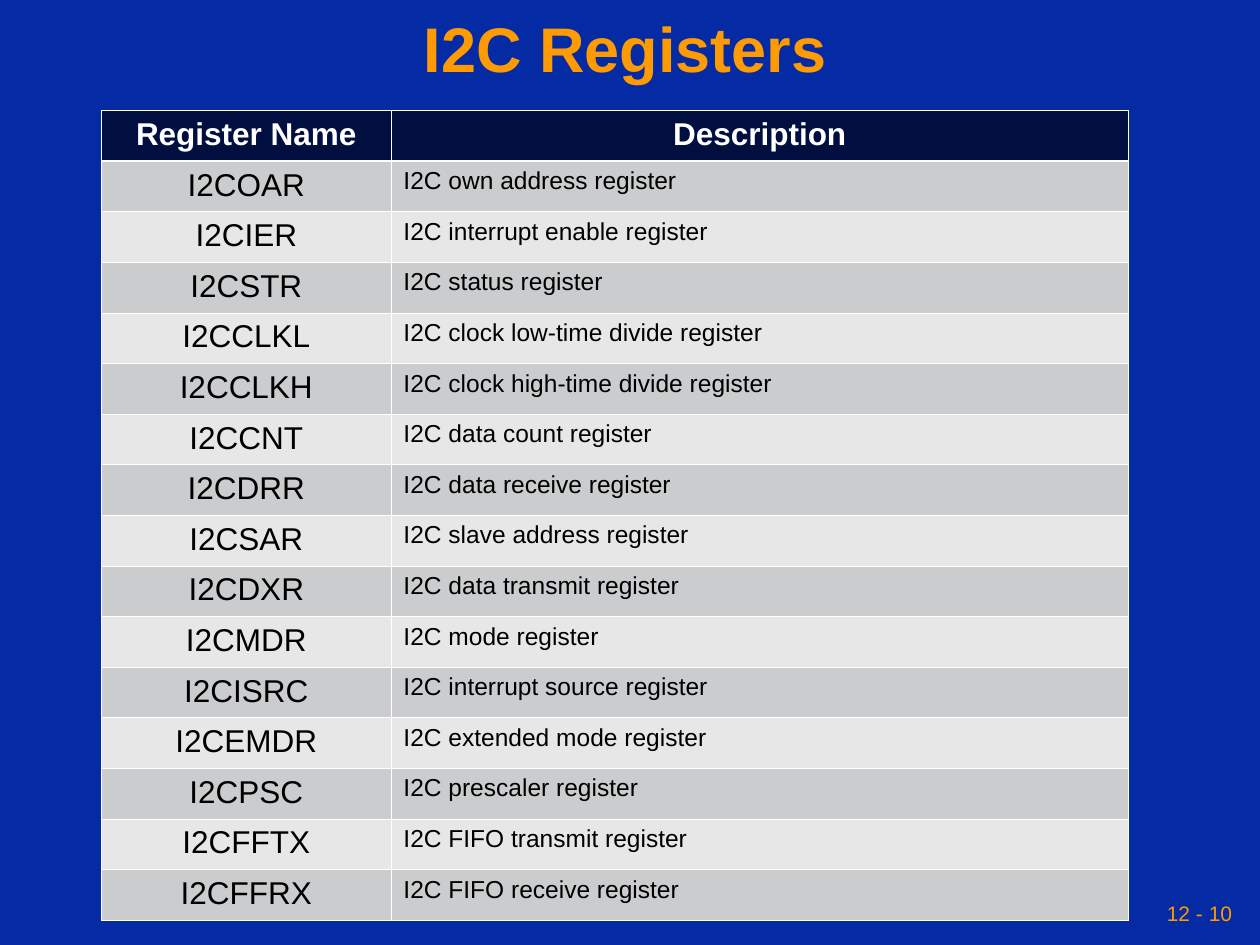
from dataclasses import dataclass

from lxml import etree
from pptx import Presentation
from pptx.dml.color import RGBColor
from pptx.enum import text
from pptx.oxml import ns
from pptx.util import Cm, Pt


@dataclass(frozen=True)
class Theme:
    font: str = "Arial"
    background: str = "042AA4"
    accent: str = "FE9B03"
    header: str = "000F40"
    bands: tuple = ("CBCCCE", "E7E7E8")
    light: str = "FFFFFF"
    dark: str = "000000"
    title_size: int = 36
    name_size: int = 18
    description_size: int = 14
    page_size: int = 12
    rule: float = 0.45
    header_rule: float = 1.47


theme = Theme()
CENTER, LEFT, RIGHT = text.PP_ALIGN.CENTER, text.PP_ALIGN.LEFT, text.PP_ALIGN.RIGHT


def write(tf, content, size, color, align=LEFT, bold=False, line_spacing=None):
    p = tf.paragraphs[0]
    p.alignment = align
    p.line_spacing = line_spacing
    r = p.add_run()
    r.text = content
    r.font.name = theme.font
    r.font.size = Pt(size)
    r.font.bold = bold
    r.font.color.rgb = RGBColor.from_string(color)


def add_border(cell, side, width):
    """Add one cell edge; call for L, R, T, B in that order, before the fill."""
    tc_pr = cell._tc.get_or_add_tcPr()
    ln = etree.SubElement(tc_pr, ns.qn(f"a:ln{side}"), w=str(Pt(width)))
    fill = etree.SubElement(ln, ns.qn("a:solidFill"))
    etree.SubElement(fill, ns.qn("a:srgbClr"), val=theme.light)


prs = Presentation()
prs.slide_width, prs.slide_height = Cm(25.4), Cm(19.05)
s = prs.slides.add_slide(prs.slide_layouts[6])
s.background.fill.solid()
s.background.fill.fore_color.rgb = RGBColor.from_string(theme.background)

# Page number and title
labels = [
    ((17.35, 17.98, 7.62, 0.85), "12 - 10",
     dict(size=theme.page_size, color=theme.accent, align=RIGHT)),
    ((0, 0, 25.2, 2.1), "I2C Registers",
     dict(size=theme.title_size, color=theme.accent, align=CENTER, bold=True,
          line_spacing=0.9)),
]
for box, content, style in labels:
    tf = s.shapes.add_textbox(*map(Cm, box)).text_frame
    tf.word_wrap = True
    tf.vertical_anchor = text.MSO_ANCHOR.MIDDLE
    tf.margin_left = tf.margin_right = tf.margin_top = tf.margin_bottom = Cm(0.13)
    write(tf, content, **style)

# Register table
rows = [
    ("Register Name", "Description"),
    ("I2COAR", "I2C own address register"),
    ("I2CIER", "I2C interrupt enable register"),
    ("I2CSTR", "I2C status register"),
    ("I2CCLKL", "I2C clock low-time divide register"),
    ("I2CCLKH", "I2C clock high-time divide register"),
    ("I2CCNT", "I2C data count register"),
    ("I2CDRR", "I2C data receive register"),
    ("I2CSAR", "I2C slave address register"),
    ("I2CDXR", "I2C data transmit register"),
    ("I2CMDR", "I2C mode register"),
    ("I2CISRC", "I2C interrupt source register"),
    ("I2CEMDR", "I2C extended mode register"),
    ("I2CPSC", "I2C prescaler register"),
    ("I2CFFTX", "I2C FIFO transmit register"),
    ("I2CFFRX", "I2C FIFO receive register"),
]
column_widths = (5.83, 14.87)
row_height = 1.02
header_style = dict(size=theme.name_size, color=theme.light, align=CENTER, bold=True)
body_styles = (
    dict(size=theme.name_size, color=theme.dark, align=CENTER),
    dict(size=theme.description_size, color=theme.dark),
)

table = s.shapes.add_table(
    len(rows), len(column_widths), Cm(2.05), Cm(2.23),
    Cm(sum(column_widths)), Cm(row_height * len(rows))).table
for column, width in zip(table.columns, column_widths):
    column.width = Cm(width)

for i, row in enumerate(rows):
    table.rows[i].height = Cm(row_height)
    top = theme.header_rule if i == 1 else theme.rule
    bottom = theme.header_rule if i == 0 else theme.rule
    fill_color = theme.header if i == 0 else theme.bands[(i - 1) % 2]
    for j, content in enumerate(row):
        cell = table.cell(i, j)
        for side, width in zip("LRTB", (theme.rule, theme.rule, top, bottom)):
            add_border(cell, side, width)
        cell.fill.solid()
        cell.fill.fore_color.rgb = RGBColor.from_string(fill_color)
        write(cell.text_frame, content, **(header_style if i == 0 else body_styles[j]))

prs.save("out.pptx")
